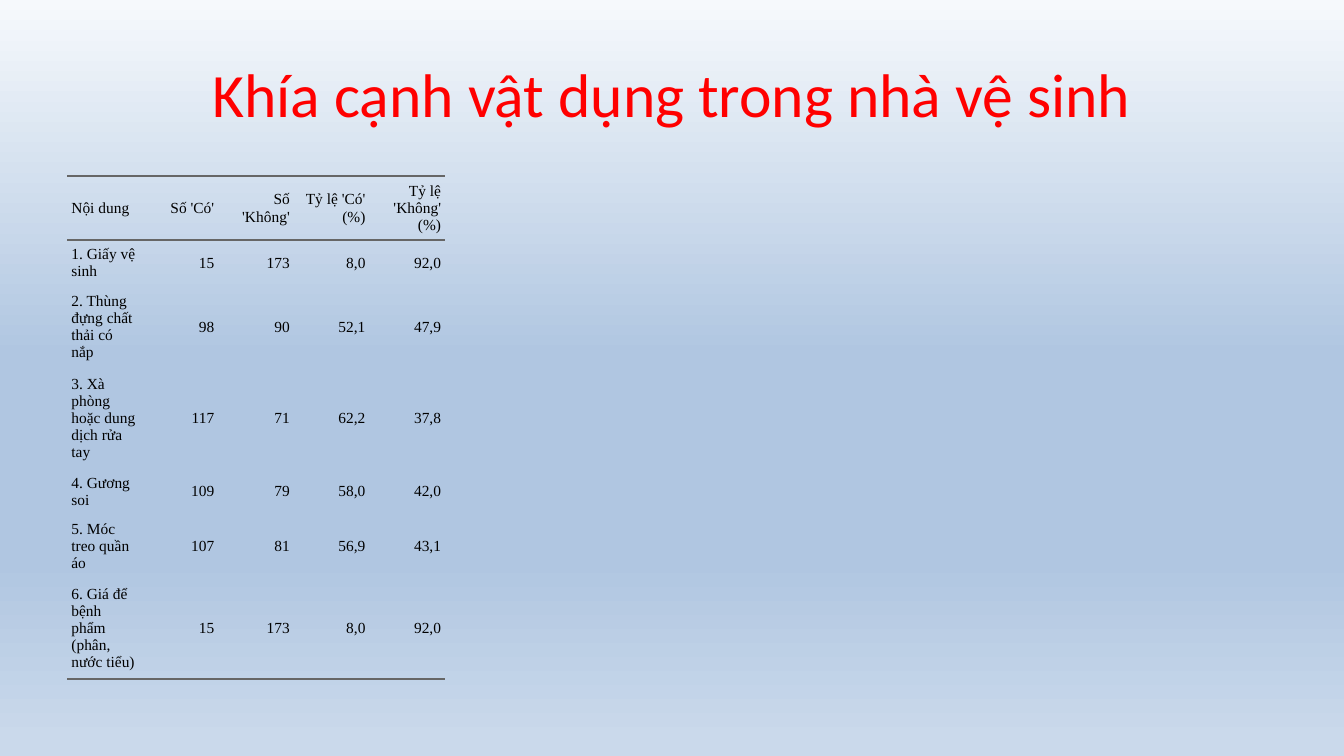
from lxml.etree import SubElement
from pptx import Presentation
from pptx.dml.color import RGBColor
from pptx.enum.text import MSO_ANCHOR as Anchor, PP_ALIGN as Align
from pptx.oxml import parse_xml
from pptx.oxml.ns import nsdecls, qn
from pptx.util import Inches, Pt

COLORS = {"title": "FF0000", "text": "000000", "rule": "666666"}
BACKGROUND_STOPS = [(0, "F6F9FC"), (47, "B0C6E1"), (74, "B0C6E1"), (98, "CAD9EB")]
NO_TABLE_STYLE = "{2D5ABB26-0587-4C30-8999-92F81FD0307C}"
WIDTH, HEIGHT = Inches(13.33), Inches(7.5)
MARGIN = int(WIDTH * 0.05)
COLUMN, ROW = Inches(0.75), Inches(0.25)
PADDING = Pt(3)

TITLE = "Khía cạnh vật dụng trong nhà vệ sinh"
SUPPLIES = [
    ("Nội dung", "Số 'Có'", "Số 'Không'", "Tỷ lệ 'Có' (%)", "Tỷ lệ 'Không' (%)"),
    ("1. Giấy vệ sinh", "15", "173", "8,0", "92,0"),
    ("2. Thùng đựng chất thải có nắp", "98", "90", "52,1", "47,9"),
    ("3. Xà phòng hoặc dung dịch rửa tay", "117", "71", "62,2", "37,8"),
    ("4. Gương soi", "109", "79", "58,0", "42,0"),
    ("5. Móc treo quần áo", "107", "81", "56,9", "43,1"),
    ("6. Giá để bệnh phẩm (phân, nước tiểu)", "15", "173", "8,0", "92,0"),
]


def style_paragraph(paragraph, font_name, size, color, align):
    paragraph.alignment = align
    paragraph.font.name = font_name
    paragraph.font.size = Pt(size)
    paragraph.font.color.rgb = RGBColor.from_string(COLORS[color])


def paint_background(slide):
    fill = slide.background.fill
    fill.gradient()
    fill.gradient_angle = 270
    stops = slide.background._cSld.find(".//" + qn("a:gsLst"))
    for stop in list(stops):
        stops.remove(stop)
    for percent, color in BACKGROUND_STOPS:
        stop = SubElement(stops, qn("a:gs"), pos=str(percent * 1000))
        SubElement(stop, qn("a:srgbClr"), val=color)


def add_title(slide):
    box = slide.shapes.add_textbox(
        MARGIN, int(HEIGHT * 0.04), WIDTH - 2 * MARGIN, HEIGHT // 6)
    frame = box.text_frame
    frame.word_wrap = True
    frame.vertical_anchor = Anchor.MIDDLE
    frame.text = TITLE
    style_paragraph(frame.paragraphs[0], "Calibri", 44, "title", Align.CENTER)


def add_rules(cell, sides):
    """Draw horizontal cell borders; sides come in schema order, lnT then lnB."""
    properties = cell._tc.get_or_add_tcPr()
    for position, side in enumerate(sides):
        properties.insert(position, parse_xml(
            f'<a:{side} {nsdecls("a")} w="{Pt(1.5)}"><a:solidFill>'
            f'<a:srgbClr val="{COLORS["rule"]}"/></a:solidFill></a:{side}>'))


def fill_cell(cell, text, align):
    cell.text = text
    cell.fill.background()
    cell.vertical_anchor = Anchor.MIDDLE
    cell.margin_left = cell.margin_right = 0
    cell.margin_top = cell.margin_bottom = PADDING
    paragraph = cell.text_frame.paragraphs[0]
    style_paragraph(paragraph, "Times New Roman", 11, "text", align)
    paragraph.space_before = paragraph.space_after = PADDING
    properties = paragraph._p.get_or_add_pPr()
    for name, value in (("marL", PADDING), ("marR", PADDING), ("indent", 0)):
        properties.set(name, str(value))


def add_supplies_table(slide):
    row_count, column_count = len(SUPPLIES), len(SUPPLIES[0])
    table = slide.shapes.add_table(
        row_count, column_count, MARGIN, Inches(1.75),
        column_count * COLUMN, row_count * ROW).table
    table.first_row = table.horz_banding = False
    table._tbl.tblPr.find(qn("a:tableStyleId")).text = NO_TABLE_STYLE
    rules = {0: ("lnT", "lnB"), row_count - 1: ("lnB",)}
    for row, values in enumerate(SUPPLIES):
        for column, value in enumerate(values):
            cell = table.cell(row, column)
            fill_cell(cell, value, Align.RIGHT if column else Align.LEFT)
            add_rules(cell, rules.get(row, ()))


def main():
    presentation = Presentation()
    presentation.slide_width, presentation.slide_height = WIDTH, HEIGHT
    slide = presentation.slides.add_slide(presentation.slide_layouts[6])
    paint_background(slide)
    add_title(slide)
    add_supplies_table(slide)
    presentation.save("out.pptx")


if __name__ == "__main__":
    main()
